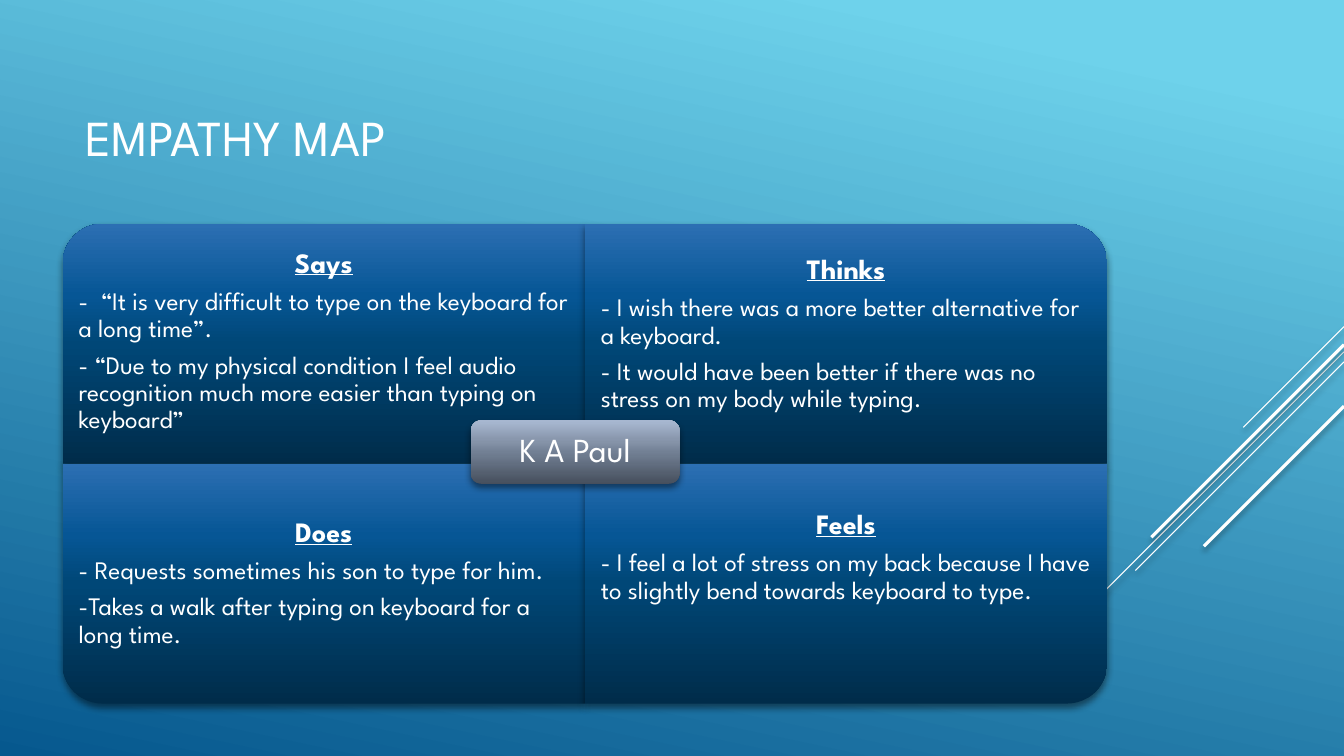
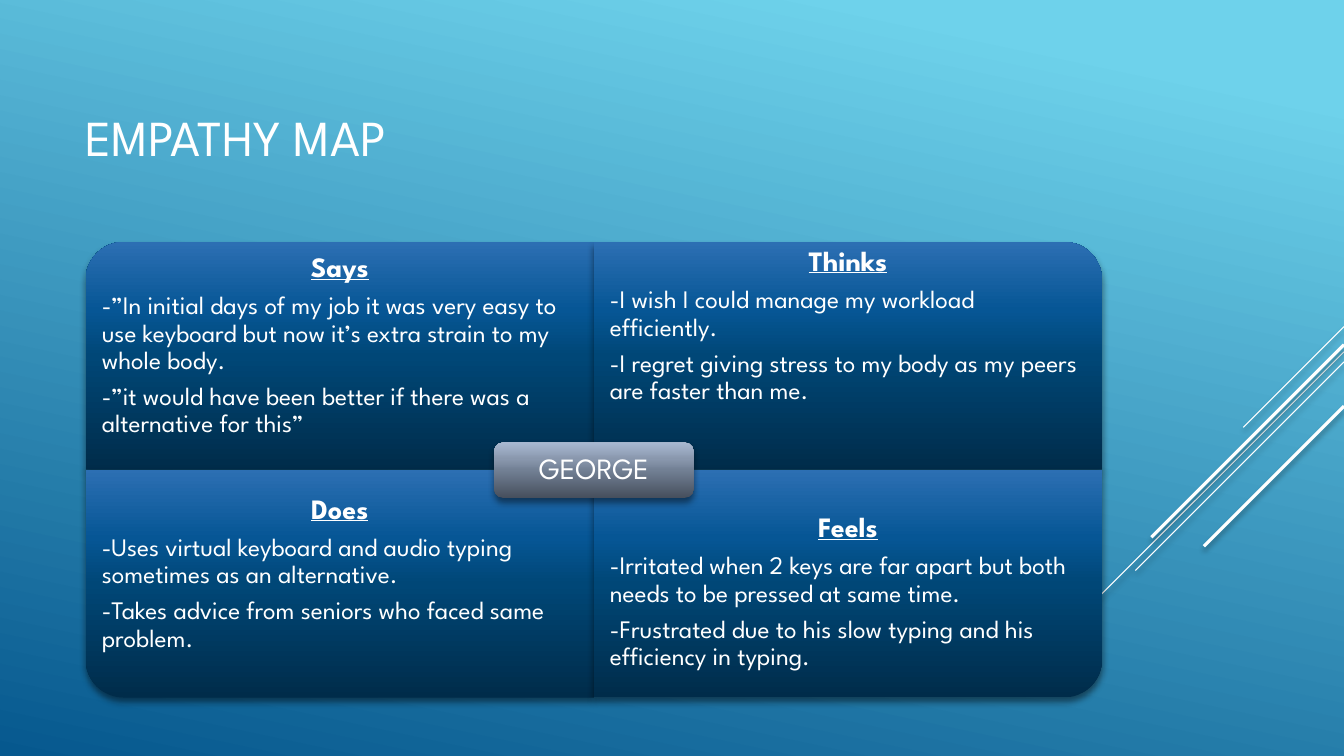
from lxml import etree
from pptx import Presentation
from pptx.dml.color import RGBColor
from pptx.enum.shapes import MSO_CONNECTOR, MSO_SHAPE
from pptx.enum.text import MSO_ANCHOR, PP_ALIGN
from pptx.oxml.ns import qn
from pptx.util import Inches, Pt

STRAIGHT = MSO_CONNECTOR.STRAIGHT
ONE_ROUND_CORNER = MSO_SHAPE.ROUND_1_RECTANGLE
ROUNDED = MSO_SHAPE.ROUNDED_RECTANGLE
LEFT, CENTER = PP_ALIGN.LEFT, PP_ALIGN.CENTER
TOP, MIDDLE = MSO_ANCHOR.TOP, MSO_ANCHOR.MIDDLE

FONT = "League Spartan"
COLORS = {"white": "FFFFFF", "black": "000000"}
GRADIENTS = {
    "sky": [(10, "6ED2EB"), (100, "06588E")],
    "panel": [(0, "002C4A"), (50, "004777"), (70, "065695"), (100, "2C6FB3")],
    "badge": [(0, "464F5D"), (50, "728094"), (70, "8997AD"), (100, "A9B9D2")],
}
SLIDE_WIDTH, SLIDE_HEIGHT = 13.33, 7.5
STREAKS = [(3.24, 1, 0.75), (3.49, 3.26, 0.75), (3.59, 2.07, 0.75),
           (3.42, 1.91, 2.25), (4.03, 1.39, 2.25)]
TURNS = [270, 0, 180, 90]

MAPS = [
    {
        "name": "K A Paul", "name_size": 24, "badge": (4.67, 4.17, 2.07, 0.63),
        "grid": (0.62, 2.22, 5.18, 2.38),
        "panels": [
            ("Says", 2.47, [
                "-  “It is very difficult to type on the keyboard for a long time”.",
                "- “Due to my physical condition I feel audio recognition much more "
                "easier than typing on keyboard”"]),
            ("Thinks", 2.53, [
                "- I wish there was a more better alternative for a keyboard.",
                "- It would have been better if there was no stress on my body while typing."]),
            ("Does", 5.14, [
                "- Requests sometimes his son to type for him.",
                "-Takes a walk after typing on keyboard for a long time."]),
            ("Feels", 5.06, [
                "- I feel a lot of stress on my back because I have to slightly bend "
                "towards keyboard to type."]),
        ],
    },
    {
        "name": "GEORGE", "name_size": 21, "badge": (4.9, 4.39, 1.98, 0.55),
        "grid": (0.85, 2.4, 5.04, 2.26),
        "panels": [
            ("Says", 2.51, [
                "-”In initial days of my job it was very easy to use keyboard but now "
                "it’s extra strain to my whole body.",
                "-”it would have been better if there was a alternative for this”"]),
            ("Thinks", 2.45, [
                "-I wish I could manage my workload efficiently.",
                "-I regret giving stress to my body as my peers are faster than me."]),
            ("Does", 4.91, [
                "-Uses virtual keyboard and audio typing sometimes as an alternative.",
                "-Takes advice from seniors who faced same problem."]),
            ("Feels", 5.09, [
                "-Irritated when 2 keys are far apart but both needs to be pressed at same time.",
                "-Frustrated due to his slow typing and his efficiency in typing."]),
        ],
    },
]


def write(frame, text, size=18, bold=False, underline=False, align=LEFT, after=0):
    para = frame.paragraphs[0]
    if para.runs:
        para = frame.add_paragraph()
    para.alignment = align
    para.line_spacing = 0.9
    para.space_after = Pt(after)
    span = para.add_run()
    span.text = text
    span.font.name = FONT
    span.font.size = Pt(size)
    span.font.bold = bold
    span.font.underline = underline
    span.font.color.rgb = RGBColor.from_string(COLORS["white"])


class MapDeck:
    def __init__(self):
        self.deck = Presentation()
        self.deck.slide_width = Inches(SLIDE_WIDTH)
        self.deck.slide_height = Inches(SLIDE_HEIGHT)
        self.page = None

    def gradient(self, fill, element, name, angle):
        fill.gradient()
        fill.gradient_angle = angle
        gradient = next(element.iter(qn("a:gradFill")))
        gradient.set("rotWithShape", "0")
        stops = gradient.find(qn("a:gsLst"))
        for stop in list(stops):
            stops.remove(stop)
        for position, color in GRADIENTS[name]:
            stop = etree.SubElement(stops, qn("a:gs"), pos=str(position * 1000))
            etree.SubElement(stop, qn("a:srgbClr"), val=color)

    def shadow(self, shape, opacity, blur):
        properties = shape.element.spPr
        effects = properties.find(qn("a:effectLst"))
        if effects is None:
            effects = etree.SubElement(properties, qn("a:effectLst"))
        outer = etree.SubElement(effects, qn("a:outerShdw"), blurRad=str(Pt(blur)),
                                 dist=str(Pt(3)), dir="5400000", rotWithShape="0")
        color = etree.SubElement(outer, qn("a:srgbClr"), val=COLORS["black"])
        etree.SubElement(color, qn("a:alpha"), val=str(opacity * 1000))

    def start_page(self, title):
        self.page = self.deck.slides.add_slide(self.deck.slide_layouts[6])
        self.gradient(self.page.background.fill, self.page.element, "sky", 258)
        for top, reach, weight in STREAKS:
            self.streak(top, reach, weight)
        write(self.text_box(0.75, 0.57, 9.33, 1.65, anchor=MIDDLE), title, size=36)

    def streak(self, top, reach, weight):
        line = self.page.shapes.add_connector(
            STRAIGHT, Inches(SLIDE_WIDTH), Inches(top),
            Inches(SLIDE_WIDTH - reach), Inches(top + reach))
        line.line.color.rgb = RGBColor.from_string(COLORS["white"])
        line.line.width = Pt(weight)
        self.shadow(line, 35, 4)

    def text_box(self, left, top, width, height, anchor=TOP, side=0.1):
        box = self.page.shapes.add_textbox(
            Inches(left), Inches(top), Inches(width), Inches(height))
        frame = box.text_frame
        frame.word_wrap = True
        frame.vertical_anchor = anchor
        frame.margin_left = frame.margin_right = Inches(side)
        frame.margin_top = frame.margin_bottom = 0
        return frame

    def block(self, kind, left, top, width, height, colors):
        shape = self.page.shapes.add_shape(
            kind, Inches(left), Inches(top), Inches(width), Inches(height))
        shape.shadow.inherit = False
        self.gradient(shape.fill, shape.element, colors, 90)
        shape.line.fill.background()
        self.shadow(shape, 45, 5)
        return shape

    def panel(self, left, top, width, height, turn, heading, text_top, quotes):
        bottom = top + height
        middle_x, middle_y = left + width / 2, top + height / 2
        across, down = (height, width) if turn % 180 else (width, height)
        shape = self.block(ONE_ROUND_CORNER, middle_x - across / 2,
                           middle_y - down / 2, across, down, "panel")
        shape.rotation = turn
        frame = self.text_box(left, text_top, width, bottom - text_top, side=0.16)
        write(frame, heading, size=20, bold=True, underline=True, align=CENTER, after=7)
        for quote in quotes:
            write(frame, quote, after=6.3)

    def badge(self, place, name, size):
        frame = self.block(ROUNDED, *place, "badge").text_frame
        frame.vertical_anchor = MIDDLE
        write(frame, name, size=size, align=CENTER)

    def empathy_map(self, content):
        self.start_page("EMPATHY MAP")
        left, top, width, height = content["grid"]
        for index, (heading, text_top, quotes) in enumerate(content["panels"]):
            row, column = divmod(index, 2)
            self.panel(left + column * width, top + row * height, width, height,
                       TURNS[index], heading, text_top, quotes)
        self.badge(content["badge"], content["name"], content["name_size"])


def main():
    maps = MapDeck()
    for content in MAPS:
        maps.empathy_map(content)
    maps.deck.save("out.pptx")


if __name__ == "__main__":
    main()
